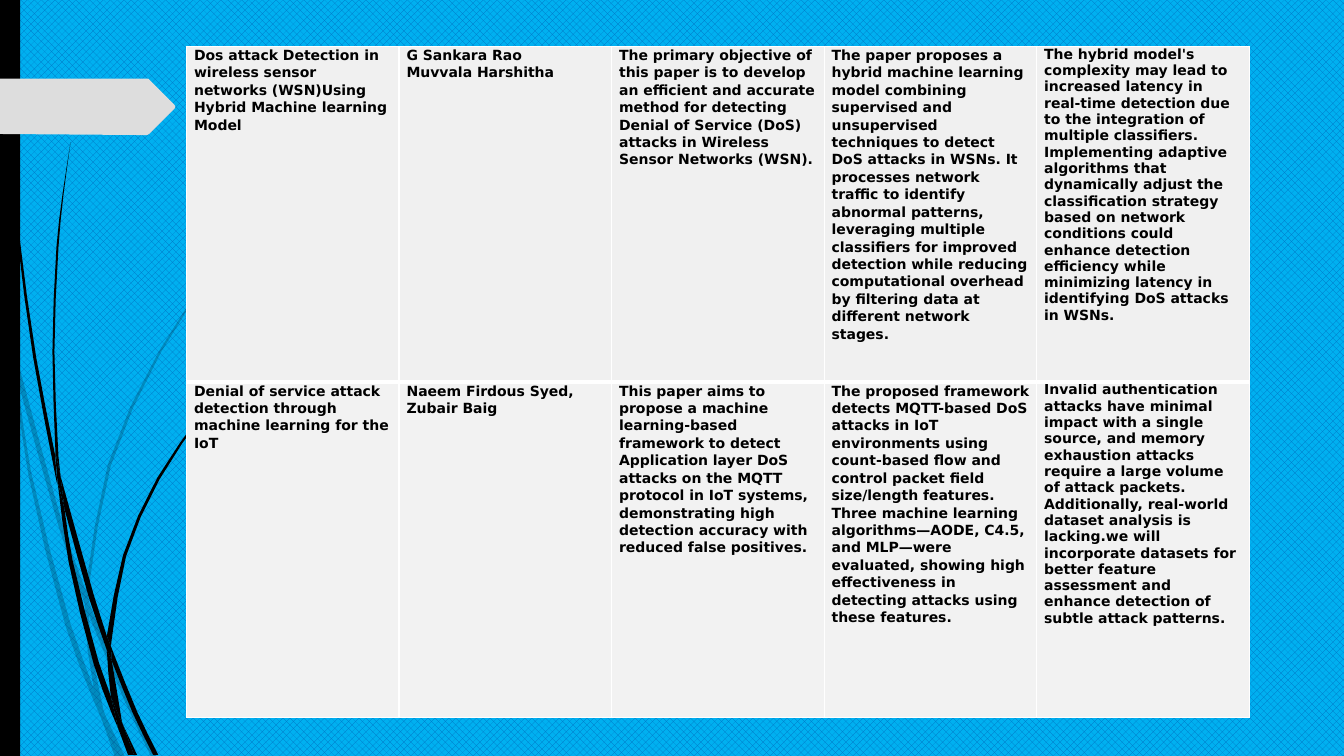
import dataclasses
import itertools
import math

import lxml.etree
import pptx
import pptx.dml.color
import pptx.enum.dml
import pptx.enum.shapes
import pptx.oxml.ns
import pptx.util

PX = 9144
BLACK = pptx.dml.color.RGBColor(0x00, 0x00, 0x00)
WHITE = pptx.dml.color.RGBColor(0xFF, 0xFF, 0xFF)
TAG_GREY = pptx.dml.color.RGBColor(0xDD, 0xDD, 0xDD)
ROW_GREYS = (
    pptx.dml.color.RGBColor(0xF0, 0xF0, 0xF0),
    pptx.dml.color.RGBColor(0xF2, 0xF2, 0xF2),
)
DEEP_BLUE = pptx.dml.color.RGBColor(0x00, 0x70, 0xC0)
SKY_BLUE = pptx.dml.color.RGBColor(0x00, 0xB0, 0xF0)

Point = tuple[float, float]
Edge = list[Point]


@dataclasses.dataclass
class Wisp:
    outward: Edge
    back: Edge


@dataclasses.dataclass
class Paper:
    title: str
    authors: str
    objective: str
    method: str
    limits: str


FAINT_WISPS = [
    Wisp([(11, 350), (9, 322), (0, 282)], [(0, 299), (10, 344)]),
    Wisp([(14, 345), (62, 520), (85, 586)], [(84, 599), (58, 522), (17, 376)]),
    Wisp([(88, 596), (92, 607), (127, 692), (155, 751)], [(150, 751), (123, 694), (88, 610)]),
    Wisp([(105, 711), (124, 751)], [(119, 751)]),
    Wisp([(11, 350), (28, 470), (65, 621), (92, 693), (101, 714)],
         [(99, 707), (93, 683), (70, 619), (31, 469), (17, 376)]),
    Wisp([(84, 599), (87, 646), (93, 683), (96, 692), (105, 711)],
         [(103, 706), (91, 646), (88, 610), (88, 608)]),
    Wisp([(88, 596), (88, 584), (110, 462), (160, 349), (229, 245), (268, 198), (290, 175), (312, 154)],
         [(312, 153), (289, 175), (268, 197), (228, 244), (158, 348), (107, 461), (85, 584), (85, 586)]),
    Wisp([(101, 714), (114, 751)], [(119, 751)]),
    Wisp([(85, 586), (88, 596)], [(88, 610), (88, 608), (84, 599)]),
    Wisp([(93, 683), (99, 707), (101, 714), (119, 751)], [(105, 711), (96, 692)]),
]
SOLID_WISPS = [
    Wisp([(3, 0), (4, 48), (7, 110), (17, 233), (33, 355), (56, 477), (57, 481)],
         [(55, 457), (55, 453), (36, 355), (19, 232), (8, 109), (5, 48), (4, 0)]),
    Wisp([(60, 472), (93, 590), (106, 631), (106, 633)], [(106, 645), (88, 592), (64, 505)]),
    Wisp([(110, 641), (113, 649), (136, 706), (157, 749)], [(152, 749), (132, 708), (111, 656)]),
    Wisp([(57, 477), (68, 557), (93, 659), (111, 708), (117, 722)],
         [(116, 717), (110, 691), (98, 657), (72, 556), (64, 505)]),
    Wisp([(60, 472), (58, 453), (54, 349), (58, 245), (63, 193), (70, 141)],
         [(70, 141), (62, 193), (56, 245), (52, 349), (55, 449)]),
    Wisp([(122, 719), (136, 749)], [(133, 749)]),
    Wisp([(55, 449), (60, 472), (64, 505)], [(57, 477), (55, 453)]),
    Wisp([(110, 641), (111, 633), (125, 552), (158, 476), (205, 406), (231, 374), (245, 359), (261, 344)],
         [(260, 344), (245, 358), (231, 373), (204, 405), (156, 474), (122, 551), (106, 631)]),
    Wisp([(117, 722), (127, 749)], [(131, 749)]),
    Wisp([(106, 645), (110, 691), (116, 706), (122, 719)], [(121, 716), (111, 656), (109, 651)]),
    Wisp([(106, 631), (110, 641)], [(111, 656), (109, 651), (106, 645)]),
    Wisp([(110, 691), (116, 717), (117, 722), (130, 749)], [(133, 749), (122, 719), (116, 706)]),
]
TAG_OUTLINE: Edge = [
    (0, 78), (147, 78), (148, 79), (173, 104), (174, 106),
    (173, 108), (148, 133), (146, 134), (136, 134), (0, 133),
]
PAPERS = [
    Paper(
        "Dos attack Detection in wireless sensor networks (WSN)Using Hybrid Machine learning Model",
        "G Sankara Rao\nMuvvala Harshitha",
        "The primary objective of this paper is to develop an efficient and accurate method for "
        "detecting Denial of Service (DoS) attacks in Wireless Sensor Networks (WSN).",
        "The paper proposes a hybrid machine learning model combining supervised and unsupervised "
        "techniques to detect DoS attacks in WSNs. It processes network traffic to identify abnormal "
        "patterns, leveraging multiple classifiers for improved detection while reducing computational "
        "overhead by filtering data at different network stages.",
        "The hybrid model's complexity may lead to increased latency in real-time detection due to the "
        "integration of multiple classifiers. Implementing adaptive algorithms that dynamically adjust "
        "the classification strategy based on network conditions could enhance detection efficiency "
        "while minimizing latency in identifying DoS attacks in WSNs.",
    ),
    Paper(
        "Denial of service attack detection through machine learning for the IoT",
        "Naeem Firdous Syed, Zubair Baig",
        "This paper aims to propose a machine learning-based framework to detect Application layer DoS "
        "attacks on the MQTT protocol in IoT systems, demonstrating high detection accuracy with "
        "reduced false positives.",
        "The proposed framework detects MQTT-based DoS attacks in IoT environments using count-based "
        "flow and control packet field size/length features. Three machine learning algorithms—AODE, "
        "C4.5, and MLP—were evaluated, showing high effectiveness in detecting attacks using these "
        "features.",
        "Invalid authentication attacks have minimal impact with a single source, and memory exhaustion "
        "attacks require a large volume of attack packets. Additionally, real-world dataset analysis is "
        "lacking.we will incorporate datasets for better feature assessment and enhance detection of "
        "subtle attack patterns.",
    ),
]
SIDE_MARGIN = pptx.util.Pt(5.4)
CELL_FORMAT = {
    "margin_left": SIDE_MARGIN, "margin_right": SIDE_MARGIN, "margin_top": 0, "margin_bottom": 0}
FONT_FORMAT = {"name": "DejaVu Sans", "size": pptx.util.Pt(10), "bold": True}
BODY_FORMAT = {"line_spacing": 1.07}
LIMITS_FORMAT = {"space_after": pptx.util.Pt(5)}
TABLE_FORMAT = {"first_row": False, "horz_banding": False}


def apply_format(target: object, values: dict) -> None:
    for name, value in values.items():
        setattr(target, name, value)


def smooth(edge: Edge, longest_straight: int = 40) -> Edge:
    slopes = []
    for index in range(len(edge)):
        near = edge[max(index - 1, 0):index + 2]
        length = sum(math.dist(a, b) for a, b in itertools.pairwise(near)) or 1
        slopes.append([(near[-1][axis] - near[0][axis]) / length for axis in (0, 1)])
    points = [edge[0]]
    for index, (start, end) in enumerate(itertools.pairwise(edge)):
        reach = math.dist(start, end)
        if reach > longest_straight:
            points.append(tuple(
                (start[axis] + end[axis]) / 2
                + (slopes[index][axis] - slopes[index + 1][axis]) * reach / 8
                for axis in (0, 1)))
        points.append(end)
    return points


def paint(shape, color: pptx.dml.color.RGBColor, opacity: int = 100) -> None:
    shape.shadow.inherit = False
    shape.fill.solid()
    shape.fill.fore_color.rgb = color
    shape.line.fill.background()
    if opacity < 100:
        tone = shape._element.spPr.find(".//" + pptx.oxml.ns.qn("a:srgbClr"))
        lxml.etree.SubElement(tone, pptx.oxml.ns.qn("a:alpha"), val=str(opacity * 1000))


def draw_outline(slide, outline: Edge, color: pptx.dml.color.RGBColor, opacity: int = 100) -> None:
    first, *rest = [(round(x * PX), round(y * PX)) for x, y in outline]
    builder = slide.shapes.build_freeform(*first, scale=1.0)
    builder.add_line_segments(rest, close=True)
    paint(builder.convert_to_shape(), color, opacity)


def add_borders(cell, widths: dict[str, int]) -> None:
    properties = cell._tc.get_or_add_tcPr()
    for side, points in widths.items():
        line = lxml.etree.SubElement(
            properties, pptx.oxml.ns.qn(f"a:ln{side}"), w=str(pptx.util.Pt(points)))
        fill = lxml.etree.SubElement(line, pptx.oxml.ns.qn("a:solidFill"))
        lxml.etree.SubElement(fill, pptx.oxml.ns.qn("a:srgbClr"), val=str(WHITE))


def fill_cell(cell, text: str, color: pptx.dml.color.RGBColor, paragraph_format: dict) -> None:
    apply_format(cell, CELL_FORMAT)
    cell.fill.solid()
    cell.fill.fore_color.rgb = color
    cell.text_frame.text = text
    for paragraph in cell.text_frame.paragraphs:
        apply_format(paragraph, paragraph_format)
        for run in paragraph.runs:
            apply_format(run.font, FONT_FORMAT)
            run.font.color.rgb = BLACK


def draw_papers(slide, papers: list[Paper]) -> None:
    columns = [field.name for field in dataclasses.fields(Paper)]
    table = slide.shapes.add_table(
        len(papers), len(columns), 185 * PX, 46 * PX, 1054 * PX, 666 * PX).table
    apply_format(table, TABLE_FORMAT)
    for row, paper in enumerate(papers):
        widths = {"L": 1, "R": 1, "T": 1, "B": 1 if row else 3}
        for column, name in enumerate(columns):
            cell = table.cell(row, column)
            add_borders(cell, widths)
            paragraph_format = LIMITS_FORMAT if name == "limits" else BODY_FORMAT
            fill_cell(cell, getattr(paper, name), ROW_GREYS[row], paragraph_format)


def main() -> None:
    presentation = pptx.Presentation()
    apply_format(presentation, {"slide_width": 1333 * PX, "slide_height": 750 * PX})
    slide = presentation.slides.add_slide(presentation.slide_layouts[6])
    background = slide.background.fill
    background.patterned()
    background.pattern = pptx.enum.dml.MSO_PATTERN.PERCENT_50
    background.fore_color.rgb = DEEP_BLUE
    background.back_color.rgb = SKY_BLUE
    for wisps, opacity in ((FAINT_WISPS, 20), (SOLID_WISPS, 100)):
        for wisp in wisps:
            draw_outline(slide, smooth(wisp.outward) + smooth(wisp.back), BLACK, opacity)
    bar = slide.shapes.add_shape(
        pptx.enum.shapes.MSO_SHAPE.RECTANGLE, 0, 0, 20 * PX, 750 * PX)
    paint(bar, BLACK)
    draw_outline(slide, TAG_OUTLINE, TAG_GREY)
    draw_papers(slide, PAPERS)
    presentation.save("out.pptx")


if __name__ == "__main__":
    main()
